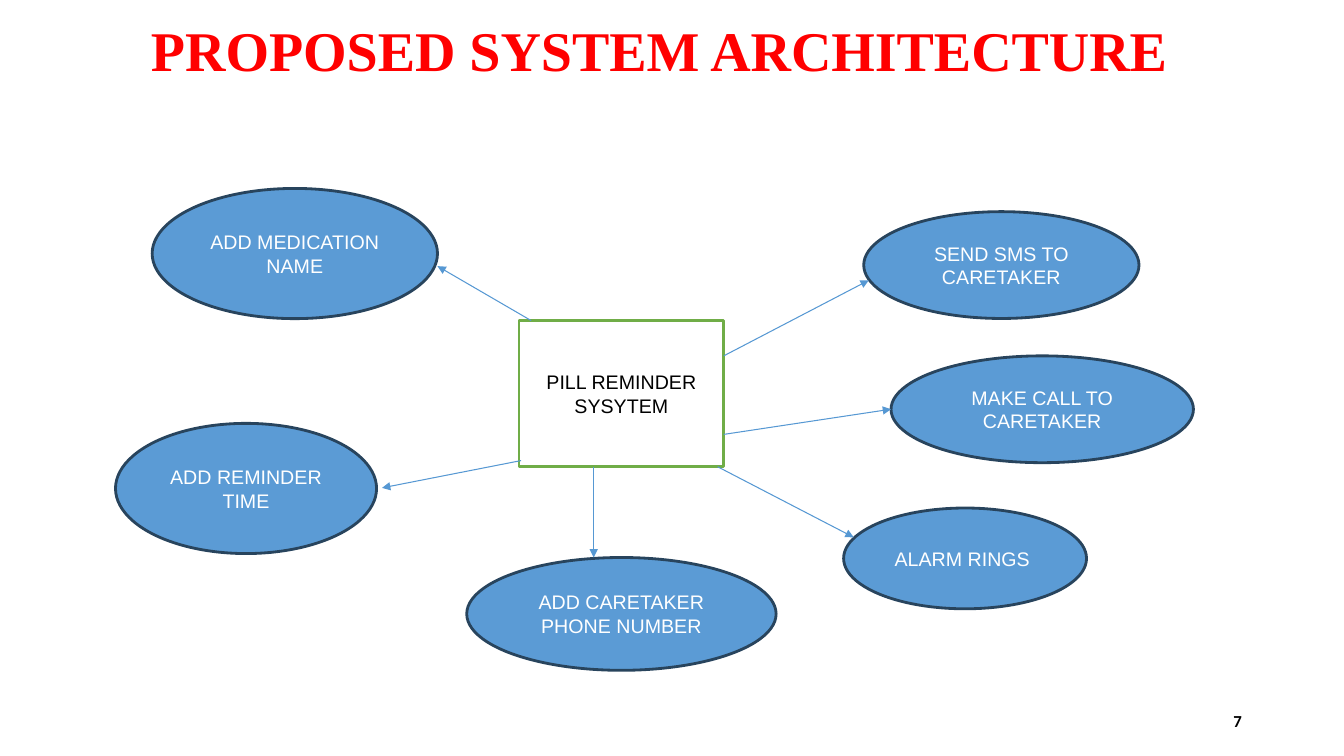
"""Build the proposed system architecture slide."""
from dataclasses import dataclass

from lxml import etree
from pptx import Presentation
from pptx.dml.color import RGBColor
from pptx.enum.shapes import MSO_CONNECTOR, MSO_SHAPE
from pptx.enum.text import MSO_ANCHOR, MSO_AUTO_SIZE, PP_ALIGN
from pptx.oxml.ns import qn
from pptx.slide import Slide
from pptx.text.text import TextFrame
from pptx.util import Pt

OVAL, RECTANGLE = MSO_SHAPE.OVAL, MSO_SHAPE.RECTANGLE
STRAIGHT = MSO_CONNECTOR.STRAIGHT
TOP, MIDDLE = MSO_ANCHOR.TOP, MSO_ANCHOR.MIDDLE
CENTER, RIGHT = PP_ALIGN.CENTER, PP_ALIGN.RIGHT
NO_AUTOFIT = MSO_AUTO_SIZE.NONE
TITLE_ONLY_LAYOUT = 5


@dataclass(frozen=True)
class Theme:
    white: str = "FFFFFF"
    black: str = "000000"
    title: str = "FF0000"
    oval: str = "5B9BD5"
    oval_line: str = "28445D"
    system_line: str = "70AD47"
    arrow: str = "5698D3"
    title_font: str = "Times New Roman"
    body_font: str = "Arial"
    number_font: str = "Calibri"
    title_size: float = 40
    body_size: float = 14
    number_size: float = 12
    outline: float = 2
    arrow_width: float = 0.75


@dataclass(frozen=True)
class Node:
    text: str
    left: float
    top: float
    width: float
    height: float
    kind: int = OVAL
    fill: str = Theme.oval
    line: str = Theme.oval_line
    color: str = Theme.white


@dataclass(frozen=True)
class Arrow:
    start: tuple[float, float]
    end: tuple[float, float]


NODES = [
    Node("PILL REMINDER SYSYTEM", 370.8, 229, 146.2, 104.4,
         RECTANGLE, Theme.white, Theme.system_line, Theme.black),
    Node("ADD MEDICATION NAME", 108.7, 134.6, 203.8, 93),
    Node("ADD REMINDER TIME", 82.5, 302.4, 186.5, 93),
    Node("ADD CARETAKER PHONE NUMBER", 333.4, 398.2, 221, 80.6),
    Node("SEND SMS TO CARETAKER", 617, 151.2, 196.6, 76.3),
    Node("MAKE CALL TO CARETAKER", 636.5, 254.2, 216, 76.3),
    Node("ALARM RINGS ", 602.6, 362.9, 173.5, 72),
]

ARROWS = [
    Arrow((379.4, 229), (312.5, 190.1)),
    Arrow((372.2, 329), (272.9, 348.5)),
    Arrow((424.1, 333.4), (424.1, 398.2)),
    Arrow((517, 254.2), (620.6, 200.2)),
    Arrow((517, 310.3), (636.5, 292.3)),
    Arrow((512.6, 333.4), (609.8, 383.8)),
]


def write_text(frame: TextFrame, text: str, *, font: str, size: float, color: str,
               bold: bool = False, align: int = CENTER, anchor: int = MIDDLE) -> None:
    """Put one formatted paragraph into a text frame."""
    frame.word_wrap = True
    frame.auto_size = NO_AUTOFIT
    frame.vertical_anchor = anchor
    para = frame.paragraphs[0]
    para.alignment = align
    span = para.add_run()
    span.text = text
    span.font.name = font
    span.font.size = Pt(size)
    span.font.bold = bold
    span.font.color.rgb = RGBColor.from_string(color)


def add_title(page: Slide, text: str, theme: Theme) -> None:
    """Place and fill the title placeholder."""
    title = page.shapes.title
    title.left, title.top = Pt(90), Pt(7.2)
    title.width, title.height = Pt(761.8), Pt(104.4)
    write_text(title.text_frame, text, font=theme.title_font, size=theme.title_size,
               color=theme.title, bold=True, anchor=TOP)


def add_page_number(page: Slide, text: str, theme: Theme) -> None:
    """Write the page number at the lower right."""
    box = page.shapes.add_textbox(Pt(678.2), Pt(500.4), Pt(216), Pt(28.8))
    write_text(box.text_frame, text, font=theme.number_font, size=theme.number_size,
               color=theme.black, bold=True, align=RIGHT)


def add_node(page: Slide, node: Node, theme: Theme) -> None:
    """Draw one labelled node of the diagram."""
    box = page.shapes.add_shape(node.kind, Pt(node.left), Pt(node.top),
                                Pt(node.width), Pt(node.height))
    box.shadow.inherit = False
    box.fill.solid()
    box.fill.fore_color.rgb = RGBColor.from_string(node.fill)
    box.line.color.rgb = RGBColor.from_string(node.line)
    box.line.width = Pt(theme.outline)
    write_text(box.text_frame, node.text, font=theme.body_font,
               size=theme.body_size, color=node.color)


def add_arrow(page: Slide, arrow: Arrow, theme: Theme) -> None:
    """Draw a straight line with a triangular head at its end."""
    line = page.shapes.add_connector(STRAIGHT, *map(Pt, arrow.start + arrow.end))
    line.line.color.rgb = RGBColor.from_string(theme.arrow)
    line.line.width = Pt(theme.arrow_width)
    properties = line.element.spPr
    etree.SubElement(properties.find(qn("a:ln")), qn("a:tailEnd"), type="triangle")
    etree.SubElement(properties, qn("a:effectLst"))


def main() -> None:
    """Create the deck and save it."""
    theme = Theme()
    deck = Presentation()
    deck.slide_width, deck.slide_height = Pt(960), Pt(540)
    page = deck.slides.add_slide(deck.slide_layouts[TITLE_ONLY_LAYOUT])
    add_title(page, "PROPOSED SYSTEM ARCHITECTURE", theme)
    for node in NODES:
        add_node(page, node, theme)
    for arrow in ARROWS:
        add_arrow(page, arrow, theme)
    add_page_number(page, "7", theme)
    deck.save("out.pptx")


if __name__ == "__main__":
    main()
